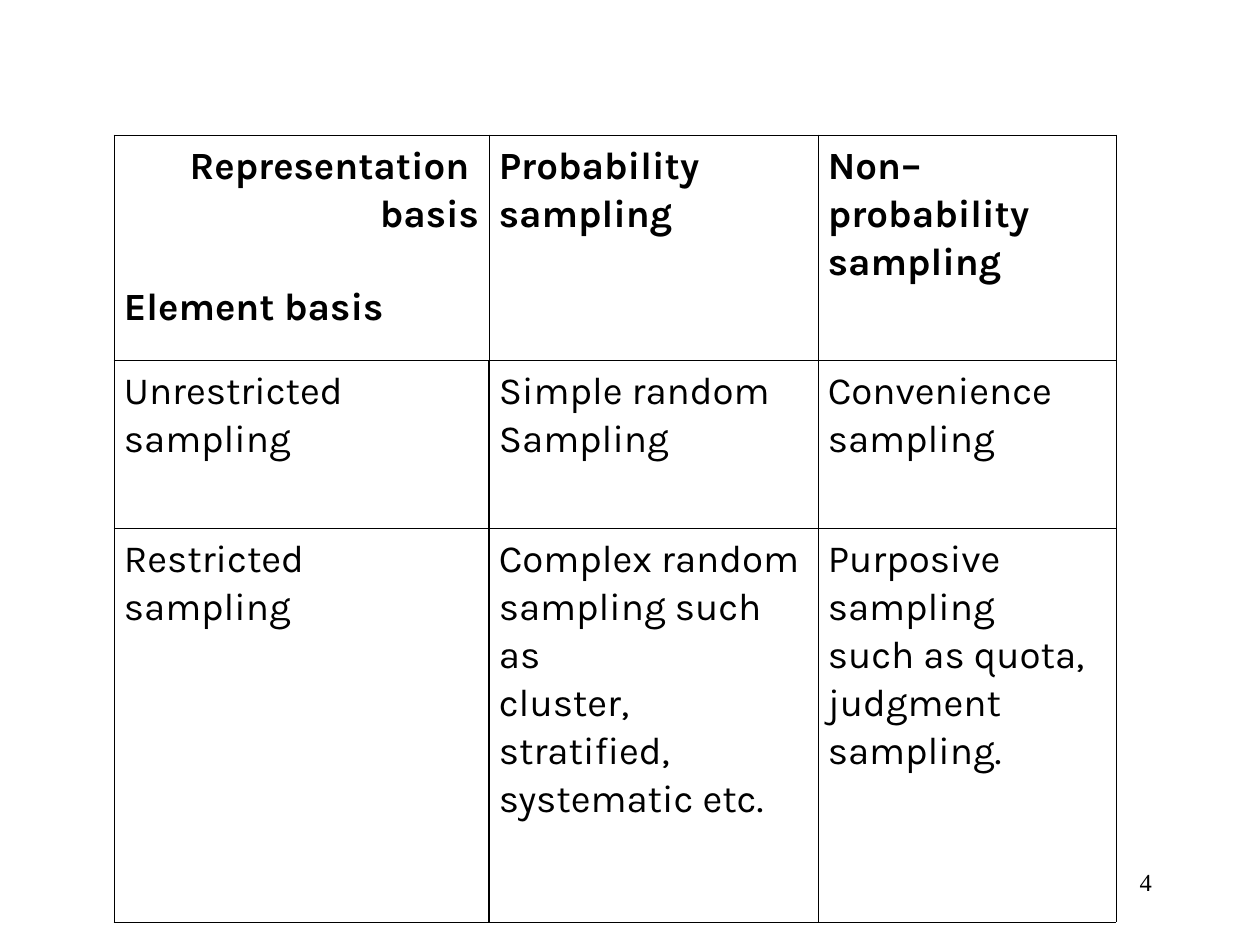
from lxml.etree import SubElement
from pptx import Presentation
from pptx.dml.color import RGBColor
from pptx.enum.text import PP_ALIGN
from pptx.oxml.ns import qn
from pptx.util import Emu, Pt

EMU_PER_PX = 914400 / 126
BLACK = RGBColor(0x00, 0x00, 0x00)
BODY_FONT = "Karla"
NUMBER_FONT = "Times New Roman"
BORDER_PT = 0.45
DIVIDER_PT = 0.75

COLUMN_WIDTHS = [375, 329, 298]
ROW_HEIGHTS = [225, 168, 394]
# Each cell is a list of paragraphs.
ROWS = [
    [["Representation ", "basis", "Element basis"],
     ["Probability sampling"],
     ["Non–probability", "sampling"]],
    [["Unrestricted sampling"],
     ["Simple random", "Sampling"],
     ["Convenience", "sampling"]],
    [["Restricted sampling"],
     ["Complex random", "sampling such as", "cluster, stratified,", "systematic etc."],
     ["Purposive sampling", "such as quota, judgment", "sampling."]],
]


def px(n):
    return Emu(round(n * EMU_PER_PX))


def add_run(p, text, font, size, bold=False):
    r = p.add_run()
    r.text = text
    r.font.name = font
    r.font.size = Pt(size)
    r.font.bold = bold
    r.font.color.rgb = BLACK


def set_margins(box, side, top):
    box.margin_left = box.margin_right = px(side)
    box.margin_top = box.margin_bottom = px(top)


def set_borders(cell, left, right):
    """Draw the four cell borders; left and right are widths in points."""
    tc_pr = cell._tc.get_or_add_tcPr()
    widths = {"a:lnL": left, "a:lnR": right, "a:lnT": BORDER_PT, "a:lnB": BORDER_PT}
    for tag, width in widths.items():
        ln = SubElement(tc_pr, qn(tag), w=str(Pt(width)))
        fill = SubElement(ln, qn("a:solidFill"))
        SubElement(fill, qn("a:srgbClr"), val=str(BLACK))


def fill_cell(cell, lines, bold):
    set_margins(cell, 10, 6)
    tf = cell.text_frame
    for i, line in enumerate(lines):
        p = tf.paragraphs[0] if i == 0 else tf.add_paragraph()
        p.line_spacing = 1.07
        add_run(p, line, BODY_FONT, 22, bold)


def format_corner(cell):
    """Set the column heading to the right, the row heading lower at the left."""
    *column_heading, row_heading = cell.text_frame.paragraphs
    for p in column_heading:
        p.alignment = PP_ALIGN.RIGHT
    row_heading.space_before = Pt(26)


def add_sampling_table(s):
    frame = s.shapes.add_table(len(ROWS), len(COLUMN_WIDTHS), px(114), px(135),
                               px(sum(COLUMN_WIDTHS)), px(sum(ROW_HEIGHTS)))
    table = frame.table
    table.first_row = table.horz_banding = False
    for column, width in zip(table.columns, COLUMN_WIDTHS):
        column.width = px(width)
    for row, height in zip(table.rows, ROW_HEIGHTS):
        row.height = px(height)
    for i, row in enumerate(ROWS):
        for j, lines in enumerate(row):
            cell = table.cell(i, j)
            fill_cell(cell, lines, bold=i == 0)
            set_borders(cell,
                        left=DIVIDER_PT if i > 0 and j == 1 else BORDER_PT,
                        right=DIVIDER_PT if i > 0 and j == 0 else BORDER_PT)
            cell.fill.background()
    format_corner(table.cell(0, 0))


def add_page_number(s, number):
    tf = s.shapes.add_textbox(px(903), px(861), px(262), px(63)).text_frame
    tf.word_wrap = True
    set_margins(tf, 13, 6)
    p = tf.paragraphs[0]
    p.alignment = PP_ALIGN.RIGHT
    add_run(p, number, NUMBER_FONT, 14)


def main():
    prs = Presentation()
    prs.slide_width, prs.slide_height = px(1260), px(945)
    s = prs.slides.add_slide(prs.slide_layouts[6])
    add_page_number(s, "4")
    add_sampling_table(s)
    prs.save("out.pptx")


if __name__ == "__main__":
    main()
